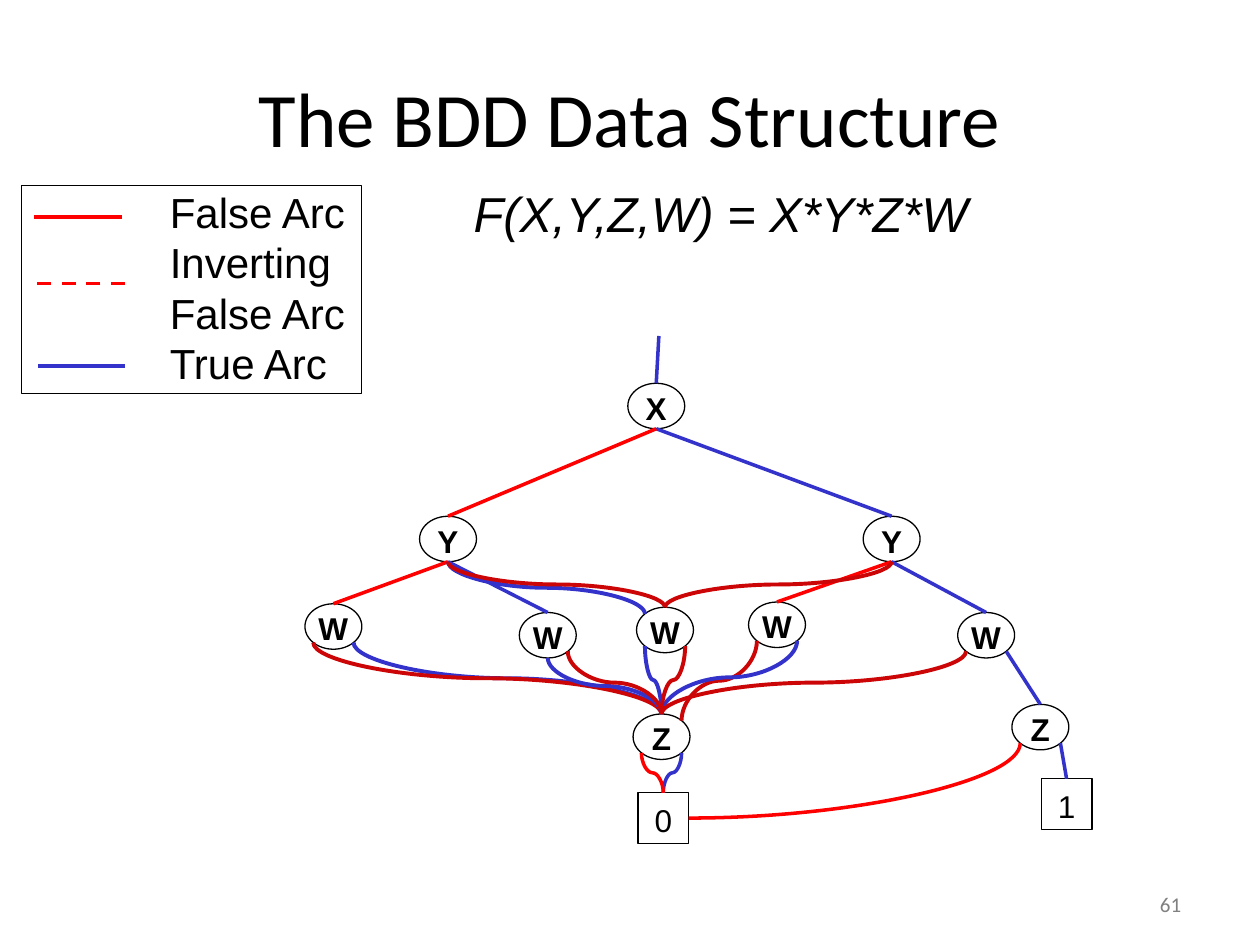
import math

from lxml import etree
from pptx import Presentation
from pptx.dml.color import RGBColor
from pptx.enum import dml, shapes, text
from pptx.oxml import ns
from pptx.util import Pt

BLACK = RGBColor(0x00, 0x00, 0x00)
WHITE = RGBColor(0xFF, 0xFF, 0xFF)
GRAY = RGBColor(0x80, 0x80, 0x80)
BLUE = RGBColor(0x33, 0x33, 0xCC)
RED = RGBColor(0xFF, 0x00, 0x00)
DARK_RED = RGBColor(0xCC, 0x05, 0x07)

NODE_WIDTH, NODE_HEIGHT, LEAF_SIZE = 32.5, 26, 29
DIAGONAL = math.sqrt(0.5)
ANCHORS = {
    "top": (0, -1),
    "bottom": (0, 1),
    "right": (1, 0),
    "top left": (-DIAGONAL, -DIAGONAL),
    "top right": (DIAGONAL, -DIAGONAL),
    "bottom left": (-DIAGONAL, DIAGONAL),
    "bottom right": (DIAGONAL, DIAGONAL),
}

NODES = {
    "X": (201, 27),
    "Y false": (82, 103),
    "Y true": (335.5, 103),
    "W far left": (16.5, 153),
    "W left": (139, 158),
    "W middle": (206, 155),
    "W right": (270, 152),
    "W far right": (389.5, 158),
    "Z shared": (204, 216),
    "Z true": (420.5, 210.5),
}
LEAVES = {"0": (205, 261), "1": (435.5, 253)}

STRAIGHT_ARCS = [
    ("X", "bottom", "Y true", BLUE),
    ("X", "bottom", "Y false", RED),
    ("Y false", "bottom", "W left", BLUE),
    ("Y false", "bottom", "W far left", RED),
    ("Y true", "bottom", "W far right", BLUE),
    ("Y true", "bottom", "W right", RED),
    ("W far right", "bottom right", "Z true", BLUE),
    ("Z true", "bottom right", "1", BLUE),
]
CURVED_ARCS = [
    ("Z shared", "bottom right", "0", "top", BLUE, 2),
    ("Z shared", "bottom left", "0", "top", RED, 2),
    ("W far left", "bottom right", "Z shared", "top", BLUE, 2.25),
    ("W far left", "bottom left", "Z shared", "top", DARK_RED, 2.25),
    ("W left", "bottom", "Z shared", "top", BLUE, 2.25),
    ("W left", "bottom right", "Z shared", "top", DARK_RED, 2.25),
    ("W right", "bottom left", "Z shared", "top right", DARK_RED, 2.25),
    ("W right", "bottom right", "Z shared", "top", BLUE, 2.25),
    ("W far right", "bottom left", "Z shared", "top", DARK_RED, 2.25),
    ("W middle", "bottom left", "Z shared", "top", BLUE, 2.25),
    ("W middle", "bottom right", "Z shared", "top", DARK_RED, 2.25),
    ("Y false", "bottom", "W middle", "top left", BLUE, 2.25),
    ("Y true", "bottom", "W middle", "top", DARK_RED, 2.25),
    ("Y false", "bottom", "W middle", "top", DARK_RED, 2.25),
]


def add_text(slide, box, lines, size, font_name="Arial", color=BLACK, italic=False,
             align=text.PP_ALIGN.LEFT, anchor=text.MSO_ANCHOR.TOP, wrap=True):
    frame = slide.shapes.add_textbox(*map(Pt, box)).text_frame
    frame.word_wrap = wrap
    frame.vertical_anchor = anchor
    frame.text = "\n".join(lines)
    for paragraph in frame.paragraphs:
        paragraph.alignment = align
        font = paragraph.runs[0].font
        font.name, font.size, font.italic = font_name, Pt(size), italic
        font.color.rgb = color


def style_connector(connector, color, width):
    connector.line.color.rgb = color
    connector.line.width = Pt(width)
    etree.SubElement(connector._element.spPr, ns.qn("a:effectLst"))


def add_line(slide, start, end, color, width=2):
    connector = slide.shapes.add_connector(
        shapes.MSO_CONNECTOR.STRAIGHT, *map(int, (*start, *end)))
    style_connector(connector, color, width)
    return connector


def add_curve(slide, start, end, color, width, preset="curvedConnector3"):
    run, drop = end[0] - start[0], end[1] - start[1]
    left = (start[0] + end[0] - drop) / 2
    top = (start[1] + end[1] - abs(run)) / 2
    connector = slide.shapes.add_connector(
        shapes.MSO_CONNECTOR.CURVE,
        *map(int, (left, top, left + drop, top + abs(run))))
    properties = connector._element.spPr
    transform = properties.find(ns.qn("a:xfrm"))
    transform.set("rot", str((270 if run > 0 else 90) * 60000))
    if run > 0:
        transform.set("flipH", "1")
    properties.find(ns.qn("a:prstGeom")).set("prst", preset)
    style_connector(connector, color, width)


def add_outline(slide, kind, box, fill=None):
    shape = slide.shapes.add_shape(kind, *map(Pt, box))
    shape.shadow.inherit = False
    if fill is None:
        shape.fill.background()
    else:
        shape.fill.solid()
        shape.fill.fore_color.rgb = fill
    shape.line.color.rgb = BLACK
    shape.line.width = Pt(0.75)
    return shape


def add_labelled(slide, kind, box, label, bold, fill=None):
    shape = add_outline(slide, kind, box, fill)
    frame = shape.text_frame
    frame.word_wrap = False
    frame.vertical_anchor = text.MSO_ANCHOR.MIDDLE
    frame.text = label
    paragraph = frame.paragraphs[0]
    paragraph.alignment = text.PP_ALIGN.CENTER
    paragraph.line_spacing = 1.08
    font = paragraph.runs[0].font
    font.name, font.size, font.bold = "Arial", Pt(18), bold
    font.color.rgb = BLACK
    return shape


def anchor_point(shape, anchor):
    across, down = ANCHORS[anchor]
    return (shape.left + shape.width * (1 + across) / 2,
            shape.top + shape.height * (1 + down) / 2)


def add_legend(slide, left, top, width, height):
    add_text(slide, (left + 77.5, top - 3, 130, 123),
             ["False Arc", "Inverting", "False Arc", "True Arc"], 24)
    for start, end, offset, color, dashed in [
        (7, 57, 18, RED, False), (7, 59, 56, RED, True), (9, 59, 103, BLUE, False),
    ]:
        sample = add_line(slide, (Pt(left + end), Pt(top + offset)),
                          (Pt(left + start), Pt(top + offset)), color)
        if dashed:
            sample.line.dash_style = dml.MSO_LINE.DASH
    add_outline(slide, shapes.MSO_SHAPE.RECTANGLE, (left, top, width, height))


def add_diagram(slide, left, top):
    parts = {}
    for name, (center, offset) in NODES.items():
        box = (left + center - NODE_WIDTH / 2, top + offset, NODE_WIDTH, NODE_HEIGHT)
        parts[name] = add_labelled(slide, shapes.MSO_SHAPE.OVAL, box, name[0], True)
    for name, (center, offset) in LEAVES.items():
        box = (left + center - LEAF_SIZE / 2, top + offset, LEAF_SIZE, LEAF_SIZE)
        parts[name] = add_labelled(
            slide, shapes.MSO_SHAPE.RECTANGLE, box, name, False, WHITE)

    root = parts["X"]
    entry = add_line(slide, (Pt(left + 202.5), Pt(top)), anchor_point(root, "top"), BLUE)
    entry.end_connect(root, 0)
    for source, anchor, target, color in STRAIGHT_ARCS:
        arc = add_line(slide, anchor_point(parts[source], anchor),
                       anchor_point(parts[target], "top"), color)
        arc.end_connect(parts[target], 0)
    add_curve(slide, anchor_point(parts["Z true"], "bottom left"),
              anchor_point(parts["0"], "right"), RED, 2, "curvedConnector2")
    for source, start, target, end, color, width in CURVED_ARCS:
        add_curve(slide, anchor_point(parts[source], start),
                  anchor_point(parts[target], end), color, width)


def main():
    presentation = Presentation()
    presentation.slide_width, presentation.slide_height = Pt(720), Pt(540)
    slide = presentation.slides.add_slide(presentation.slide_layouts[6])
    add_text(slide, (36, 21.6, 648, 90), ["The BDD Data Structure"], 44, "Calibri",
             align=text.PP_ALIGN.CENTER, anchor=text.MSO_ANCHOR.MIDDLE)
    add_legend(slide, 12.5, 106, 194, 119)
    add_text(slide, (263.5, 101.5, 306.5, 41), ["F(X,Y,Z,W) = X*Y*Z*W"], 28,
             italic=True, wrap=False)
    add_diagram(slide, 174, 192)
    add_text(slide, (514, 502, 168, 29), ["61"], 12, "Calibri", GRAY,
             align=text.PP_ALIGN.RIGHT, anchor=text.MSO_ANCHOR.MIDDLE)
    presentation.save("out.pptx")


if __name__ == "__main__":
    main()
